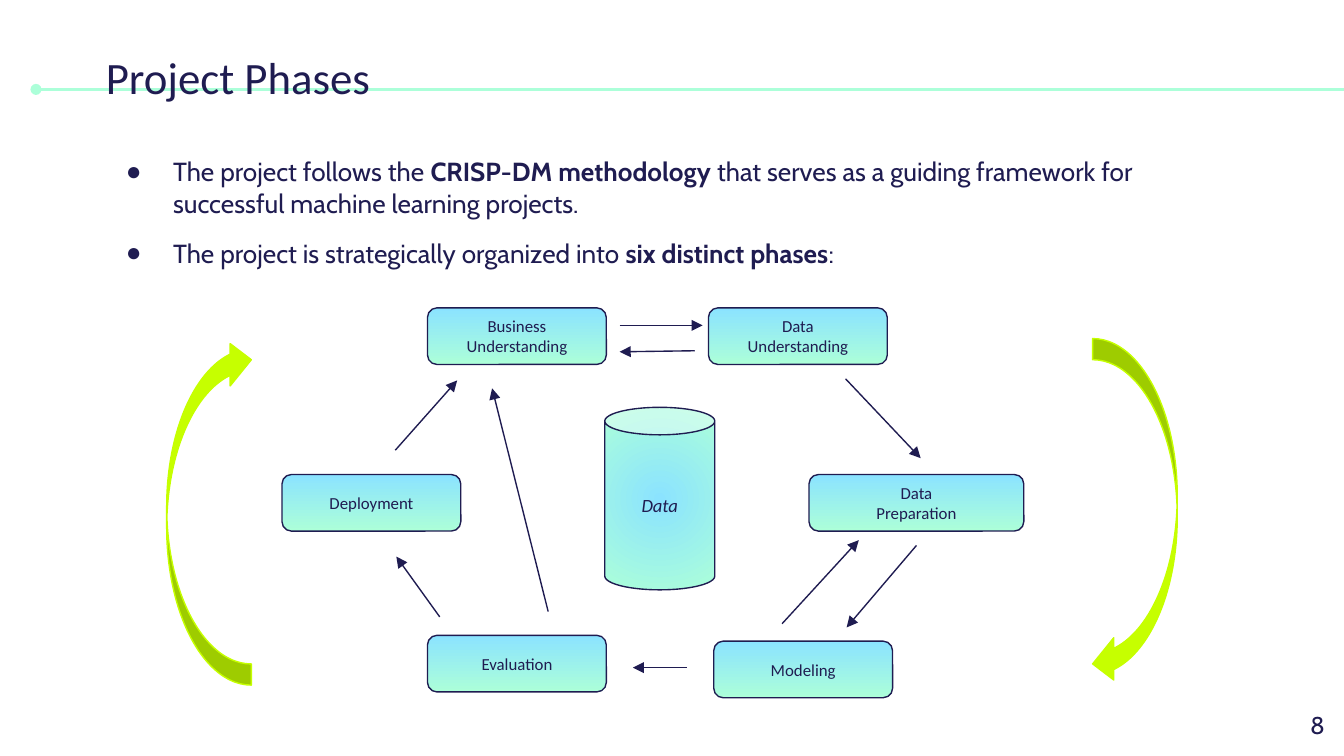
from typing import NamedTuple

from lxml import etree
from pptx import Presentation
from pptx import util as u
from pptx.dml import color
from pptx.enum import shapes, text
from pptx.oxml import ns

NAVY, MINT, SKY, LIME = "1F1C51", "ACFFD9", "8BE3FF", "C6FF00"
INSET = u.Cm(0.25)


class Phase(NamedTuple):
    label: str
    left: float
    top: float
    width: float = 3.38
    height: float = 1.07


class Arrow(NamedTuple):
    x1: float
    y1: float
    x2: float
    y2: float


class Loop(NamedTuple):
    left: float
    rotation: int


PHASES = [
    Phase("Business Understanding", 8.08, 5.82),
    Phase("Data\nUnderstanding", 13.39, 5.82),
    Phase("Data\nPreparation", 15.29, 8.97, width=4.06),
    Phase("Modeling", 13.49, 12.12),
    Phase("Evaluation", 8.08, 12.01),
    Phase("Deployment", 5.33, 8.97),
]
ARROWS = [
    Arrow(11.71, 6.15, 13.28, 6.15),
    Arrow(13.13, 6.63, 11.71, 6.65),
    Arrow(15.98, 7.16, 17.4, 8.66),
    Arrow(17.32, 10.31, 16, 11.86),
    Arrow(14.78, 11.79, 16.23, 10.21),
    Arrow(12.98, 12.62, 11.96, 12.62),
    Arrow(8.31, 11.66, 7.49, 10.52),
    Arrow(7.47, 8.51, 8.64, 7.19),
    Arrow(10.36, 11.56, 9.3, 7.34),
]
LOOPS = [Loop(20.65, 0), Loop(3.15, 180)]
BULLETS = (
    "The project follows the **CRISP-DM methodology** that serves as a guiding "
    "framework for successful machine learning projects.\n"
    "The project is strategically organized into **six distinct phases**:"
)


def rgb(value: str) -> color.RGBColor:
    return color.RGBColor.from_string(value)


def add_xml(parent, tag: str, **attributes: str):
    return etree.SubElement(parent, ns.qn(tag), attributes)


def place(shape, left: float, top: float, width: float, height: float) -> None:
    shape.left, shape.top = u.Cm(left), u.Cm(top)
    shape.width, shape.height = u.Cm(width), u.Cm(height)


def add_bullet(paragraph) -> None:
    properties = paragraph._p.get_or_add_pPr()
    properties.set("marL", str(u.Cm(1.27)))
    properties.set("indent", str(-u.Cm(0.89)))
    add_xml(add_xml(properties, "a:buClr"), "a:srgbClr", val=NAVY)
    add_xml(properties, "a:buChar", char="●")


def write(shape, content: str, *, size: float, font: str = "Calibri",
          align=text.PP_ALIGN.LEFT, anchor=text.MSO_ANCHOR.TOP,
          italic: bool = False, bullets: bool = False, gap: float = 0) -> None:
    """Fill a shape, one paragraph a line; **marks** enclose bold words."""
    frame = shape.text_frame
    frame.word_wrap = True
    frame.auto_size = text.MSO_AUTO_SIZE.NONE
    frame.vertical_anchor = anchor
    frame.margin_left = frame.margin_right = INSET
    frame.margin_top = frame.margin_bottom = INSET
    for index, line in enumerate(content.split("\n")):
        paragraph = frame.add_paragraph() if index else frame.paragraphs[0]
        if bullets:
            add_bullet(paragraph)
        paragraph.alignment = align
        paragraph.space_before = u.Pt(gap if index else 0)
        for part, words in enumerate(line.split("**")):
            run = paragraph.add_run()
            run.text = words
            run.font.name, run.font.size = font, u.Pt(size)
            run.font.bold, run.font.italic = part % 2 == 1, italic
            run.font.color.rgb = rgb(NAVY)


def add_outlined(slide, kind, left: float, top: float, width: float,
                 height: float, line: str = NAVY):
    shape = slide.shapes.add_shape(
        kind, u.Cm(left), u.Cm(top), u.Cm(width), u.Cm(height))
    shape.shadow.inherit = False
    shape.line.color.rgb = rgb(line)
    shape.line.width = u.Pt(0.75)
    return shape


def fill_gradient(shape, radial: bool = False) -> None:
    shape.fill.gradient()
    shape.fill.gradient_angle = 270
    for stop, value in zip(shape.fill.gradient_stops, (SKY, MINT)):
        stop.color.rgb = rgb(value)
    if radial:
        linear = shape._element.spPr.find(".//" + ns.qn("a:lin"))
        gradient = linear.getparent()
        gradient.remove(linear)
        circle = add_xml(gradient, "a:path", path="circle")
        add_xml(circle, "a:fillToRect", l="50000", t="50000", r="50000", b="50000")


def add_line(slide, arrow: Arrow, value: str = NAVY, width: float = 0.75,
             end: str = "a:tailEnd", head: str = "triangle"):
    line = slide.shapes.add_connector(
        shapes.MSO_CONNECTOR.STRAIGHT, *(u.Cm(length) for length in arrow))
    line.line.color.rgb = rgb(value)
    line.line.width = u.Pt(width)
    add_xml(line.line._get_or_add_ln(), end, type=head)
    add_xml(line._element.spPr, "a:effectLst")
    return line


def add_phase(slide, phase: Phase) -> None:
    box = add_outlined(slide, shapes.MSO_SHAPE.ROUNDED_RECTANGLE, *phase[1:])
    fill_gradient(box)
    write(box, phase.label, size=9, align=text.PP_ALIGN.CENTER,
          anchor=text.MSO_ANCHOR.MIDDLE)


def add_loop(slide, loop: Loop) -> None:
    shape = add_outlined(slide, shapes.MSO_SHAPE.CURVED_LEFT_ARROW,
                         loop.left, 6.4, 1.6, 6.55, line=LIME)
    shape.fill.solid()
    shape.fill.fore_color.rgb = rgb(LIME)
    shape.rotation = loop.rotation


def add_data_store(slide) -> None:
    can = add_outlined(slide, shapes.MSO_SHAPE.CAN, 11.43, 7.7, 2.08, 3.45)
    fill_gradient(can, radial=True)
    write(can, "Data", size=10, italic=True, align=text.PP_ALIGN.CENTER,
          anchor=text.MSO_ANCHOR.MIDDLE)


def main() -> None:
    presentation = Presentation()
    presentation.slide_width, presentation.slide_height = u.Cm(25.4), u.Cm(14.29)
    slide = presentation.slides.add_slide(presentation.slide_layouts[1])

    rule = add_line(slide, Arrow(0.68, 1.69, 25.4, 1.69), MINT, 1.5,
                    end="a:headEnd", head="oval")
    slide.shapes._spTree.insert(2, rule._element)  # behind the title

    title, body = slide.placeholders
    place(title, 1.75, 0.69, 16.89, 1.5)
    write(title, "Project Phases", size=24)
    place(body, 1.75, 2.69, 20.12, 1.5)
    write(body, BULLETS, size=14, font="Cabin", bullets=True, gap=10)

    number = slide.shapes.add_textbox(
        u.Cm(23.77), u.Cm(13.18), u.Cm(1.52), u.Cm(1.09))
    write(number, "8", size=13, font="Cabin", align=text.PP_ALIGN.RIGHT)

    for phase in PHASES:
        add_phase(slide, phase)
    for loop in LOOPS:
        add_loop(slide, loop)
    for arrow in ARROWS:
        add_line(slide, arrow)
    add_data_store(slide)
    presentation.save("out.pptx")


if __name__ == "__main__":
    main()
